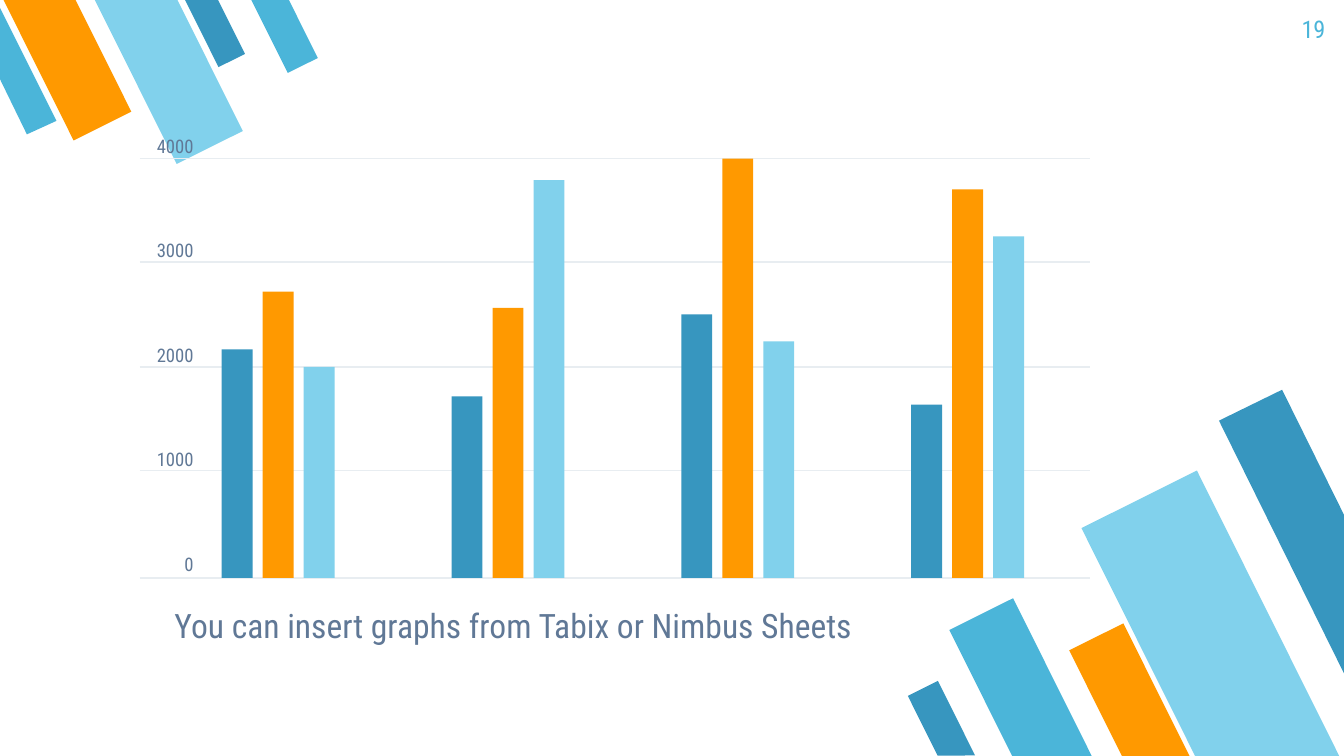
from lxml.etree import SubElement
from pptx import Presentation
from pptx.dml.color import RGBColor
from pptx.enum.shapes import MSO_CONNECTOR as Connector, MSO_SHAPE as Shape
from pptx.enum.text import MSO_ANCHOR as Anchor, PP_ALIGN as Align
from pptx.oxml.ns import qn
from pptx.util import Inches, Pt

FONT = "Roboto Condensed"
COLORS = {
    "navy": "3796BF",
    "orange": "FF9900",
    "sky": "81D1EC",
    "teal": "4BB5D9",
    "text": "607896",
    "grid": "E8EDF1",
}

# Stripes: left, top, width, height, colour
BOTTOM_STRIPES = [
    (7.33, 4.5, 0.53, 1.32, "teal"),
    (8.53, 3.59, 0.96, 2.39, "sky"),
    (8.18, 4.68, 0.45, 1.11, "orange"),
    (6.88, 5.09, 0.25, 0.62, "navy"),
]
TOP_STRIPES = [
    (1.49, -0.08, 0.22, 0.56, "navy"),
    (0.26, -0.18, 0.48, 1.18, "orange"),
    (0.98, -0.2, 0.55, 1.37, "sky"),
    (1.99, -0.1, 0.25, 0.62, "teal"),
]
RIGHT_EDGE_STRIPE = [(9.54, 2.9), (9.07, 3.13), (10, 5.01), (10, 3.83)]
LEFT_EDGE_STRIPE = [(0.2, 1), (0.42, 0.9), (0, 0.06), (0, 0.59)]

GRID_LEFT, GRID_RIGHT = 1.04, 8.11
GRID_TOPS = [1.18, 1.95, 2.73, 3.5, 4.3]
AXIS_LABELS = ["4000", "3000", "2000", "1000", "0"]

BASELINE = 4.3
FIRST_BAR, BAR_WIDTH = 1.65, 0.23
BAR_STEP, GROUP_STEP = 0.61 / 2, 1.71
SERIES_COLORS = ["navy", "orange", "sky"]
BAR_HEIGHTS = [
    (1.7, 2.13, 1.57),
    (1.35, 2.01, 2.96),
    (1.96, 3.12, 1.76),
    (1.29, 2.89, 2.54),
]


def rgb(name):
    return RGBColor.from_string(COLORS[name])


def paint(shape, color):
    """Give a shape a flat fill with no outline or shadow."""
    shape.shadow.inherit = False
    shape.fill.solid()
    shape.fill.fore_color.rgb = rgb(color)
    shape.line.fill.background()


def add_block(slide, kind, left, top, width, height, color):
    block = slide.shapes.add_shape(
        kind, Inches(left), Inches(top), Inches(width), Inches(height))
    paint(block, color)
    return block


def add_stripes(slide, stripes, rotation):
    for stripe in stripes:
        block = add_block(slide, Shape.FLOWCHART_MANUAL_INPUT, *stripe)
        block.rotation = rotation
        block.element.spPr.xfrm.set("flipH", "1")


def add_edge_stripe(slide, points, color):
    """Draw a stripe that is cut off by the edge of the slide."""
    start, *others = [(Inches(x), Inches(y)) for x, y in points]
    builder = slide.shapes.build_freeform(*start)
    builder.add_line_segments(others, close=True)
    paint(builder.convert_to_shape(), color)


def add_text(slide, left, top, width, height, lines, size, color,
             align=Align.LEFT, anchor=Anchor.TOP, inset=0.1, gap=0):
    """Add a text box with one paragraph a line, gap points apart."""
    box = slide.shapes.add_textbox(
        Inches(left), Inches(top), Inches(width), Inches(height))
    frame = box.text_frame
    frame.word_wrap = True
    frame.vertical_anchor = anchor
    frame.margin_left = frame.margin_right = Inches(inset)
    frame.margin_top = frame.margin_bottom = Inches(inset)
    for index, line in enumerate(lines):
        para = frame.add_paragraph() if index else frame.paragraphs[0]
        para.alignment = align
        if index:
            para.space_before = Pt(gap)
        span = para.add_run()
        span.text = line
        span.font.name = FONT
        span.font.size = Pt(size)
        span.font.color.rgb = rgb(color)


def add_grid_line(slide, top):
    line = slide.shapes.add_connector(
        Connector.STRAIGHT, Inches(GRID_LEFT), Inches(top),
        Inches(GRID_RIGHT), Inches(top))
    line.line.color.rgb = rgb("grid")
    line.line.width = Pt(0.75)
    SubElement(line.element.spPr, qn("a:effectLst"))


def add_bars(slide):
    for group, heights in enumerate(BAR_HEIGHTS):
        for series, (height, color) in enumerate(zip(heights, SERIES_COLORS)):
            left = FIRST_BAR + group * GROUP_STEP + series * BAR_STEP
            add_block(slide, Shape.RECTANGLE, left, BASELINE - height,
                      BAR_WIDTH, height, color)


def main():
    deck = Presentation()
    deck.slide_width = Inches(10)
    deck.slide_height = Inches(10 * 9 / 16)
    slide = deck.slides.add_slide(deck.slide_layouts[6])

    add_stripes(slide, BOTTOM_STRIPES, 153.5)
    add_edge_stripe(slide, RIGHT_EDGE_STRIPE, "navy")
    add_stripes(slide, TOP_STRIPES, 333.5)
    add_edge_stripe(slide, LEFT_EDGE_STRIPE, "teal")

    add_text(slide, 1.2, 4.4, 7.6, 0.57,
             ["You can insert graphs from Tabix or Nimbus Sheets"], 18, "text")
    add_text(slide, 9.36, 0, 0.6, 0.43, ["19"], 13, "teal",
             align=Align.RIGHT, anchor=Anchor.MIDDLE)

    for top in GRID_TOPS:
        add_grid_line(slide, top)
    add_text(slide, GRID_LEFT, 1, 0.4, 3.31, AXIS_LABELS, 10, "text",
             align=Align.RIGHT, inset=0, gap=44)
    add_bars(slide)

    deck.save("out.pptx")


if __name__ == "__main__":
    main()
